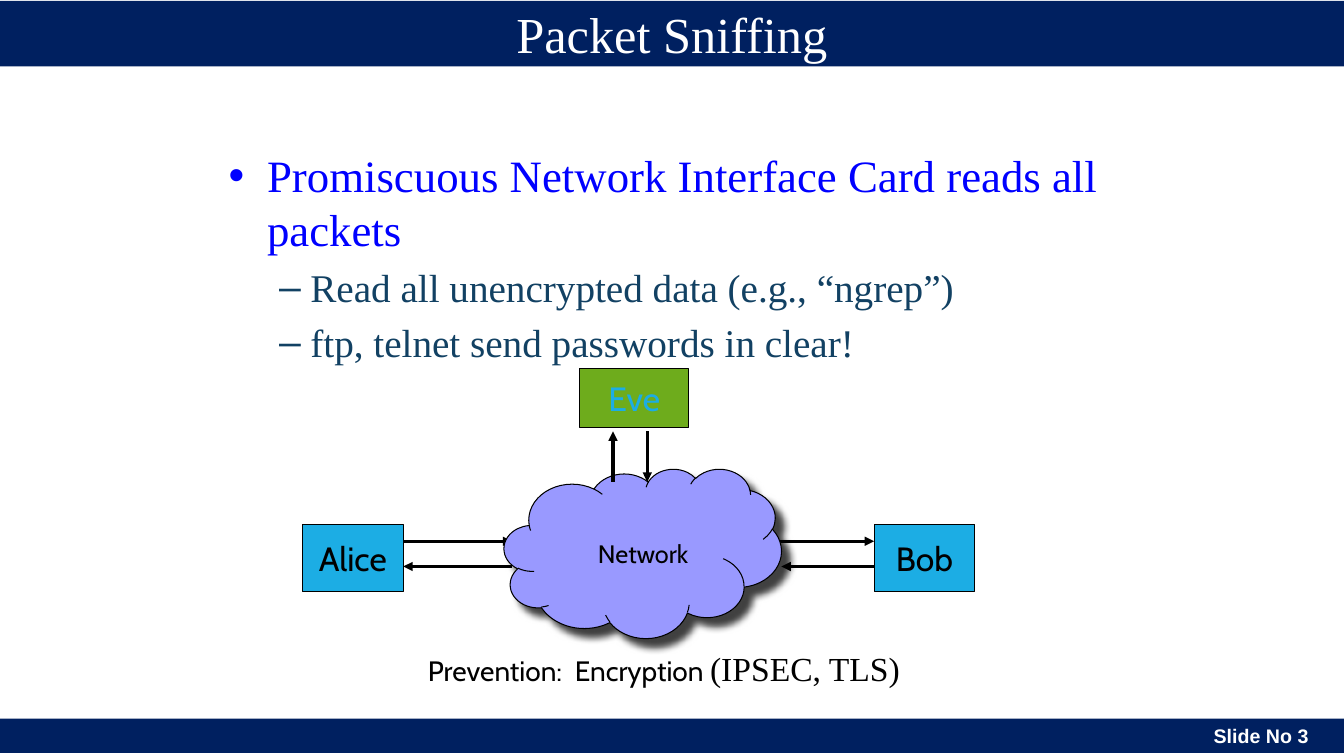
from dataclasses import dataclass

from lxml import etree
from pptx import Presentation
from pptx.dml.color import RGBColor
from pptx.enum import shapes, text
from pptx.oxml import ns
from pptx.util import Inches, Pt


@dataclass(frozen=True)
class Theme:
    serif: str = "Times New Roman"
    sans: str = "Cabin"
    plain: str = "Arial"
    navy: str = "002060"
    white: str = "FFFFFF"
    black: str = "000000"
    bullet: str = "0000FF"
    dash: str = "124163"
    host: str = "1CADE4"
    sniffer: str = "6EAC1C"
    cloud: str = "9999FF"
    title_size: int = 36
    bullet_size: int = 32
    dash_size: int = 28
    label_size: int = 24
    note_size: int = 20
    cloud_size: int = 18
    footer_size: int = 14
    outline: float = 0.75
    arrow: float = 2.25


THEME = Theme()
ALIGN = text.PP_ALIGN
SHAPE = shapes.MSO_SHAPE


def add_xml(parent, tag, **attributes):
    return etree.SubElement(parent, ns.qn(tag), attributes)


def set_font(font, name, size, color, bold=False):
    font.name, font.size, font.bold = name, Pt(size), bold
    font.color.rgb = RGBColor.from_string(color)


def add_block(slide, box, label, font, fill, kind=SHAPE.RECTANGLE, line=None):
    """Add a filled shape with one centred line of text; font is (name, size, color)."""
    block = slide.shapes.add_shape(kind, *map(Inches, box))
    block.shadow.inherit = False
    block.fill.solid()
    block.fill.fore_color.rgb = RGBColor.from_string(fill)
    if line:
        block.line.color.rgb = RGBColor.from_string(line)
        block.line.width = Pt(THEME.outline)
    else:
        block.line.fill.background()
    frame = block.text_frame
    frame.vertical_anchor = text.MSO_ANCHOR.MIDDLE
    para = frame.paragraphs[0]
    para.text, para.alignment = label, ALIGN.CENTER
    set_font(para.font, *font)
    return block


def add_arrow(slide, start, end):
    arrow = slide.shapes.add_connector(
        shapes.MSO_CONNECTOR.STRAIGHT, *map(Inches, (*start, *end)))
    arrow.line.color.rgb = RGBColor.from_string(THEME.black)
    arrow.line.width = Pt(THEME.arrow)
    add_xml(arrow.line._get_or_add_ln(), "a:tailEnd", type="triangle")
    add_xml(arrow._element.spPr, "a:effectLst")


def add_text_box(slide, box):
    frame = slide.shapes.add_textbox(*map(Inches, box)).text_frame
    frame.word_wrap = True
    return frame


def add_title(slide, box):
    add_block(slide, box, "Packet Sniffing",
              (THEME.serif, THEME.title_size, THEME.white), THEME.navy)


def add_footer(slide, box):
    footer = add_block(slide, box, "Slide No 3",
                       (THEME.plain, THEME.footer_size, THEME.white, True), THEME.navy)
    frame = footer.text_frame
    frame.vertical_anchor = text.MSO_ANCHOR.TOP
    frame.margin_right = Inches(0.35)
    frame.paragraphs[0].alignment = ALIGN.RIGHT


def add_bullets(slide, box):
    top = dict(level=0, mark="•", left=0.38, hang=0.38, before=0,
               size=THEME.bullet_size, color=THEME.bullet)
    sub = dict(level=1, mark="–", left=0.81, hang=0.31, before=5.6,
               size=THEME.dash_size, color=THEME.dash)
    items = [
        ("Promiscuous Network Interface Card reads all packets", top),
        ("Read all unencrypted data (e.g., “ngrep”)", sub),
        ("ftp, telnet send passwords in clear!", sub),
    ]
    frame = add_text_box(slide, box)
    for index, (words, style) in enumerate(items):
        para = frame.add_paragraph() if index else frame.paragraphs[0]
        para.text, para.level = words, style["level"]
        para.space_before = Pt(style["before"])
        set_font(para.font, THEME.serif, style["size"], style["color"])
        props = para._p.get_or_add_pPr()
        props.set("marL", str(Inches(style["left"])))
        props.set("indent", str(-Inches(style["hang"])))
        color = add_xml(props, "a:buClr")
        add_xml(color, "a:srgbClr", val=style["color"])
        add_xml(props, "a:buFont", typeface=THEME.plain)
        add_xml(props, "a:buChar", char=style["mark"])
        # Bullet elements must come before the default run properties.
        props.append(props.find(ns.qn("a:defRPr")))


def add_cloud(slide, box):
    cloud = add_block(slide, box, "Network", (THEME.sans, THEME.cloud_size, THEME.black),
                      THEME.cloud, SHAPE.CLOUD, THEME.black)
    cloud.text_frame.margin_left = Inches(0.3)
    cloud.text_frame.margin_top = Inches(0.13)
    effects = cloud._element.spPr.find(ns.qn("a:effectLst"))
    shadow = add_xml(effects, "a:outerShdw", blurRad=str(Pt(5)), dist=str(Pt(8.5)),
                     dir=str(45 * 60000), algn="ctr", rotWithShape="0")
    color = add_xml(shadow, "a:srgbClr", val=THEME.black)
    add_xml(color, "a:alpha", val="75000")


def add_diagram(slide, box):
    """Place Alice, Bob and Eve around the network cloud."""
    left, top, width, _ = box
    host_top, host_width = top + 1.54, 1
    alice_right, bob_left = left + host_width, left + width - host_width
    hosts = [
        ("Alice", (left, host_top, host_width, 0.67), THEME.black, THEME.host),
        ("Bob", (bob_left, host_top, host_width, 0.67), THEME.black, THEME.host),
        ("Eve", (left + 2.75, top, 1.08, 0.58), THEME.host, THEME.sniffer),
    ]
    for name, place, color, fill in hosts:
        add_block(slide, place, name, (THEME.sans, THEME.label_size, color), fill,
                  line=THEME.black)

    cloud_left, cloud_right = left + 2, left + 4.75
    inner_left, inner_right = cloud_left + 0.08, cloud_right - 0.17
    going, coming = host_top + 0.17, host_top + 0.42
    add_arrow(slide, (alice_right, going), (inner_left, going))
    add_arrow(slide, (inner_right, going), (bob_left, going))
    add_arrow(slide, (bob_left, coming), (cloud_right, coming))
    add_arrow(slide, (inner_left, coming), (alice_right, coming))

    add_cloud(slide, (cloud_left, top + 0.99, cloud_right - cloud_left, 1.68))
    near_eve, near_cloud = top + 0.62, top + 1.12
    add_arrow(slide, (left + 3.08, near_cloud), (left + 3.08, near_eve))
    add_arrow(slide, (left + 3.42, near_eve), (left + 3.42, near_cloud))


def add_prevention(slide, box):
    para = add_text_box(slide, box).paragraphs[0]
    para.alignment = ALIGN.CENTER
    for words, name, size in (
        ("Prevention:  Encryption ", THEME.sans, THEME.note_size),
        ("(IPSEC, TLS)", THEME.serif, THEME.label_size),
    ):
        span = para.add_run()
        span.text = words
        set_font(span.font, name, size, THEME.black)


def main():
    deck = Presentation()
    deck.slide_width, deck.slide_height = Inches(13.33), Inches(7.5)
    slide = deck.slides.add_slide(deck.slide_layouts[6])
    add_footer(slide, (0, 7.13, 13.33, 0.34))
    add_title(slide, (0, 0.01, 13.33, 0.65))
    add_bullets(slide, (2.17, 1.42, 9.08, 4.5))
    add_diagram(slide, (3, 3.66, 6.67, 2.67))
    add_prevention(slide, (3.17, 6.38, 6.83, 0.5))
    deck.save("out.pptx")


if __name__ == "__main__":
    main()
